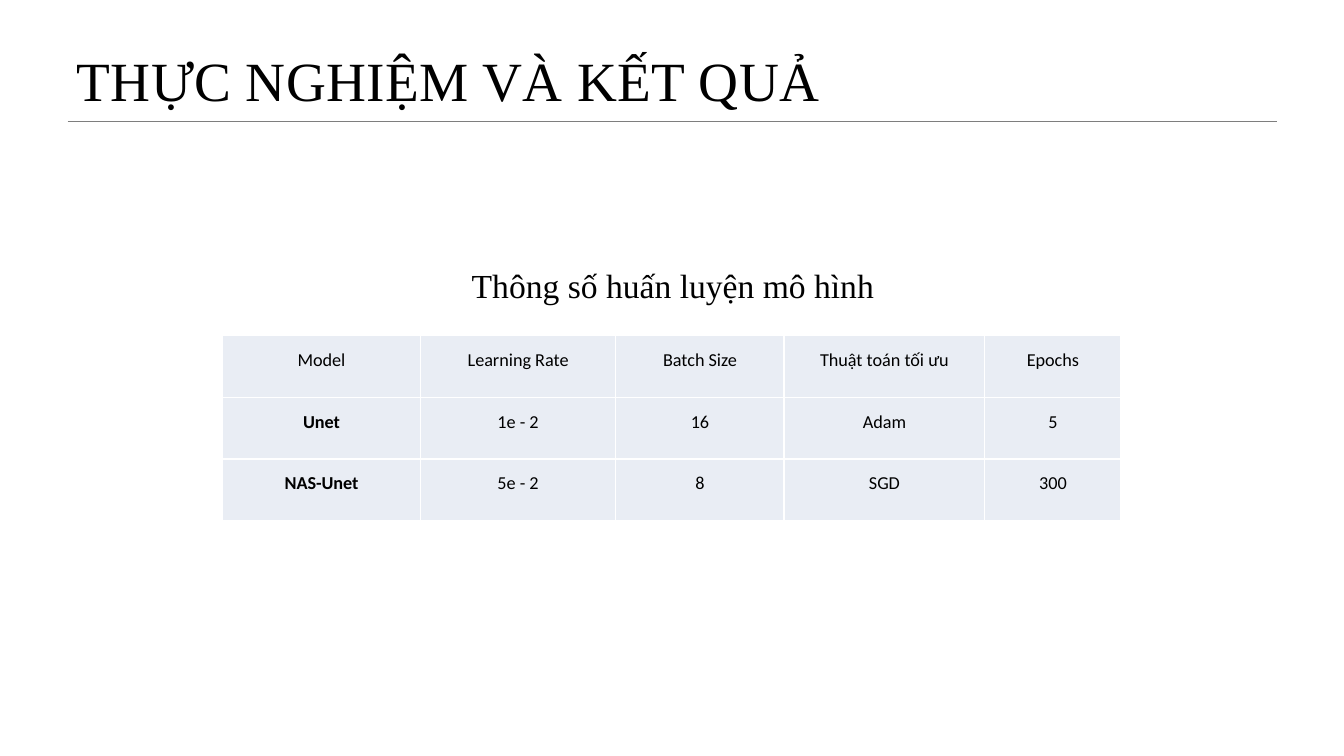
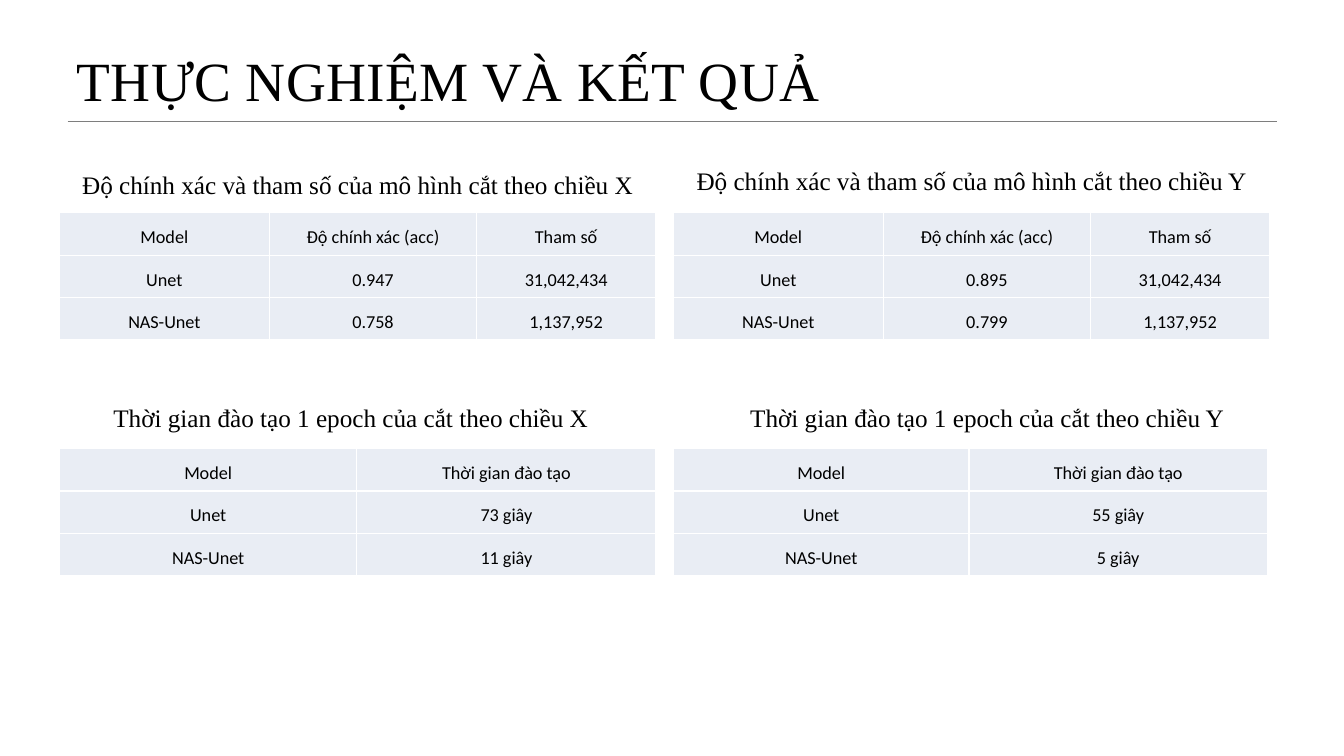
from pptx import Presentation
from pptx.dml.color import RGBColor
from pptx.enum.shapes import MSO_CONNECTOR
from pptx.enum.text import MSO_AUTO_SIZE, PP_ALIGN
from pptx.oxml.ns import qn
from pptx.util import Pt
from lxml.etree import SubElement

# Content
TITLE = "THỰC NGHIỆM VÀ KẾT QUẢ"
TRAINING = [
    ("Model", "Learning Rate", "Batch Size", "Thuật toán tối ưu", "Epochs"),
    ("Unet", "1e - 2", "16", "Adam", "5"),
    ("NAS-Unet", "5e - 2", "8", "SGD", "300"),
]
ACCURACY = "Độ chính xác và tham số của mô hình cắt theo chiều "
DURATION = "Thời gian đào tạo 1 epoch của cắt theo chiều "


def accuracy_rows(unet, nas_unet):
    return [("Model", "Độ chính xác (acc)", "Tham số"),
            ("Unet", unet, "31,042,434"),
            ("NAS-Unet", nas_unet, "1,137,952")]


def duration_rows(unet, nas_unet):
    return [("Model", "Thời gian đào tạo"),
            ("Unet", unet), ("NAS-Unet", nas_unet)]


# Layout, in points
LEFT_X, RIGHT_X = 42.5, 481
UPPER_Y, LOWER_Y = 152, 320.4
ACCURACY_COLUMNS = (149.8, 148.3, 127.6)
TRAINING_COLUMNS = (141.1, 139.7, 120.2, 143.3, 97.4)
BIG = dict(row_height=44, bold_models=True)
SMALL = dict(row_height=30.3, bold_models=False)

# One slide a list; each item: caption, its centre, top and size,
# then the table's rows, left, top, column widths and style
SLIDES = [
    [("Thông số huấn luyện mô hình", 480.6, 185.8, 24,
      TRAINING, 159.1, 239.8, TRAINING_COLUMNS, BIG)],
    [(ACCURACY + "X", 255.6, 117.4, 18,
      accuracy_rows("0.947", "0.758"), LEFT_X, UPPER_Y, ACCURACY_COLUMNS, SMALL),
     (ACCURACY + "Y", 694.1, 114.5, 18,
      accuracy_rows("0.895", "0.799"), RIGHT_X, UPPER_Y, ACCURACY_COLUMNS, SMALL),
     (DURATION + "X", 250.7, 283.7, 18,
      duration_rows("73 giây", "11 giây"), LEFT_X, LOWER_Y, (212.4, 213.6), SMALL),
     (DURATION + "Y", 705.2, 283.7, 18,
      duration_rows("55 giây", "5 giây"), RIGHT_X, LOWER_Y, (211.2, 213), SMALL)],
]

COLORS = {"ink": "000000", "rule": "7E7E7E", "cell": "E9EDF4", "border": "FFFFFF"}
SERIF, SANS = "Times New Roman", "Calibri"


def color(name):
    return RGBColor.from_string(COLORS[name])


def write(frame, text, *, size, font=SERIF, bold=False, align=PP_ALIGN.CENTER,
          before=None, after=None, line_spacing=None, tracking=None):
    para = frame.paragraphs[0]
    para.alignment = align
    if before is not None:
        para.space_before = Pt(before)
    if after is not None:
        para.space_after = Pt(after)
    if line_spacing:
        para.line_spacing = line_spacing
    span = para.add_run()
    span.text = text
    span.font.size, span.font.name, span.font.bold = Pt(size), font, bold
    span.font.color.rgb = color("ink")
    if tracking:
        span._r.get_or_add_rPr().set("spc", str(round(tracking * 100)))


def add_text(page, text, left, top, width, height, *, wrap=False, **text_format):
    box = page.shapes.add_textbox(Pt(left), Pt(top), Pt(width), Pt(height))
    box.text_frame.word_wrap = wrap
    box.text_frame.auto_size = MSO_AUTO_SIZE.SHAPE_TO_FIT_TEXT
    write(box.text_frame, text, **text_format)
    return box


def add_heading(page):
    box = add_text(page, TITLE, 54.7, 31.7, 552, 49, wrap=True, size=39.5,
                   align=PP_ALIGN.LEFT, before=1.3, tracking=0.3)
    frame = box.text_frame
    frame.margin_left = frame.margin_right = frame.margin_bottom = 0
    frame.margin_top = Pt(1.4)
    rule = page.shapes.add_connector(
        MSO_CONNECTOR.STRAIGHT, Pt(48.4), Pt(86.6), Pt(912.4), Pt(86.6))
    rule.line.color.rgb = color("rule")
    rule.line.width = Pt(0.5)
    SubElement(rule._element.spPr, qn("a:effectLst"))


def add_borders(cell):
    properties = cell._tc.get_or_add_tcPr()
    for side in ("a:lnL", "a:lnR", "a:lnT", "a:lnB"):
        line = SubElement(properties, qn(side), w=str(Pt(1)))
        fill = SubElement(line, qn("a:solidFill"))
        SubElement(fill, qn("a:srgbClr"), val=COLORS["border"])


def add_grid(page, rows, left, top, widths, *, row_height, bold_models):
    table = page.shapes.add_table(
        len(rows), len(widths), Pt(left), Pt(top),
        Pt(sum(widths)), Pt(row_height * len(rows))).table
    table.first_row = table.horz_banding = False
    for column, width in zip(table.columns, widths):
        column.width = Pt(width)
    for row_index, values in enumerate(rows):
        table.rows[row_index].height = Pt(row_height)
        for column_index, value in enumerate(values):
            cell = table.cell(row_index, column_index)
            cell.margin_left = cell.margin_right = Pt(5)
            cell.margin_top = cell.margin_bottom = Pt(5)
            add_borders(cell)
            cell.fill.solid()
            cell.fill.fore_color.rgb = color("cell")
            is_model = row_index > 0 and column_index == 0
            write(cell.text_frame, value, size=13, font=SANS,
                  bold=bold_models and is_model, line_spacing=1.3)


# Build the slides
deck = Presentation()
deck.slide_width, deck.slide_height = Pt(960), Pt(540)
CAPTION_WIDTH = {24: 304.6, 18: 411.8}
for sections in SLIDES:
    page = deck.slides.add_slide(deck.slide_layouts[6])
    add_heading(page)
    for caption, center, caption_top, size, rows, left, top, widths, style in sections:
        add_grid(page, rows, left, top, widths, **style)
        width = CAPTION_WIDTH[size]
        add_text(page, caption, center - width / 2, caption_top, width,
                 size * 1.2 + 7.2, size=size, after=10)
deck.save("out.pptx")
